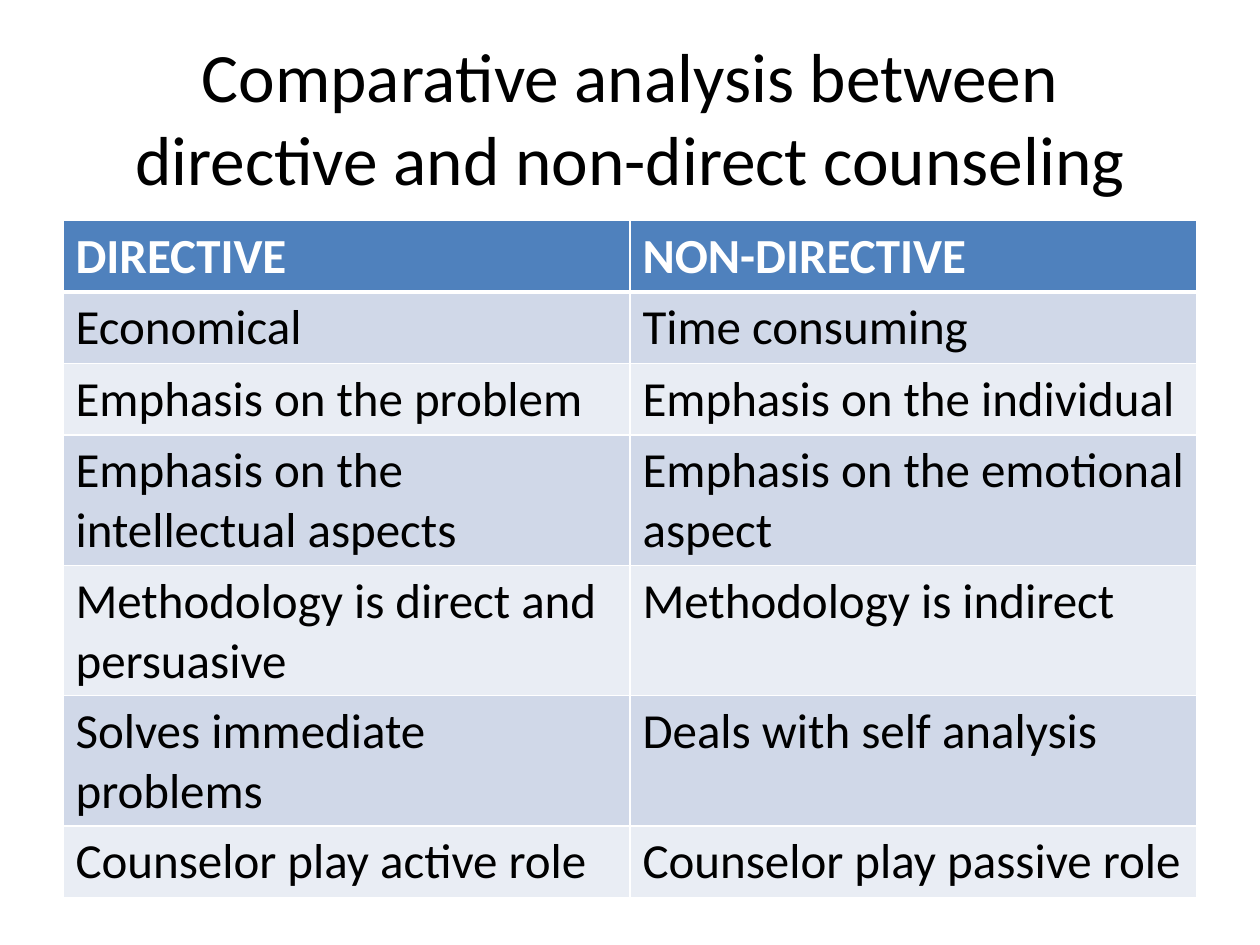
from lxml.etree import SubElement
from pptx import Presentation
from pptx.dml.color import RGBColor
from pptx.enum.text import MSO_ANCHOR, PP_ALIGN
from pptx.oxml.ns import qn
from pptx.util import Inches, Pt

COLORS = {
    "text": "000000",
    "white": "FFFFFF",
    "header": "4F81BD",
    "odd": "D0D8E8",
    "even": "E9EDF4",
}
ROWS = [
    ("DIRECTIVE", "NON-DIRECTIVE"),
    ("Economical", "Time consuming"),
    ("Emphasis on the problem", "Emphasis on the individual"),
    ("Emphasis on the intellectual aspects", "Emphasis on the emotional aspect"),
    ("Methodology is direct and persuasive", "Methodology is indirect"),
    ("Solves immediate problems", "Deals with self analysis"),
    ("Counselor play active role", "Counselor play passive role"),
]


def write_text(tf, text, size=28, color="text", bold=False, align=PP_ALIGN.LEFT):
    """Write one formatted paragraph into a text frame."""
    p = tf.paragraphs[0]
    p.alignment = align
    r = p.add_run()
    r.text = text
    r.font.name = "Calibri"
    r.font.size = Pt(size)
    r.font.bold = bold
    r.font.color.rgb = RGBColor.from_string(COLORS[color])


def add_title(s, text):
    """Add the centred slide title."""
    sp = s.shapes.add_textbox(Inches(0.5), Inches(0.3), Inches(9), Inches(1.25))
    tf = sp.text_frame
    tf.word_wrap = True
    tf.vertical_anchor = MSO_ANCHOR.MIDDLE
    write_text(tf, text, size=39.6, align=PP_ALIGN.CENTER)


def set_borders(cell, top=1, bottom=1):
    """Draw white cell borders with the given top and bottom widths in points."""
    tc_pr = cell._tc.get_or_add_tcPr()
    for side, width in (("L", 1), ("R", 1), ("T", top), ("B", bottom)):
        ln = SubElement(tc_pr, qn(f"a:ln{side}"), w=str(Pt(width)))
        fill = SubElement(ln, qn("a:solidFill"))
        SubElement(fill, qn("a:srgbClr"), val=COLORS["white"])


def add_comparison(s, rows):
    """Add the two-column table with a header and banded rows."""
    row_height = Inches(0.41)
    table = s.shapes.add_table(
        len(rows), 2, Inches(0.5), Inches(1.75), Inches(9), row_height * len(rows)
    ).table
    for i, texts in enumerate(rows):
        header = i == 0
        band = "header" if header else "odd" if i % 2 else "even"
        for j, text in enumerate(texts):
            cell = table.cell(i, j)
            set_borders(cell, top=3 if i == 1 else 1, bottom=3 if header else 1)
            cell.fill.solid()
            cell.fill.fore_color.rgb = RGBColor.from_string(COLORS[band])
            write_text(cell.text_frame, text, bold=header,
                       color="white" if header else "text")


def main():
    """Build and save the slide."""
    prs = Presentation()
    prs.slide_width, prs.slide_height = Inches(10), Inches(7.5)
    s = prs.slides.add_slide(prs.slide_layouts[6])
    add_title(s, "Comparative analysis between directive and non-direct counseling")
    add_comparison(s, ROWS)
    prs.save("out.pptx")


if __name__ == "__main__":
    main()
